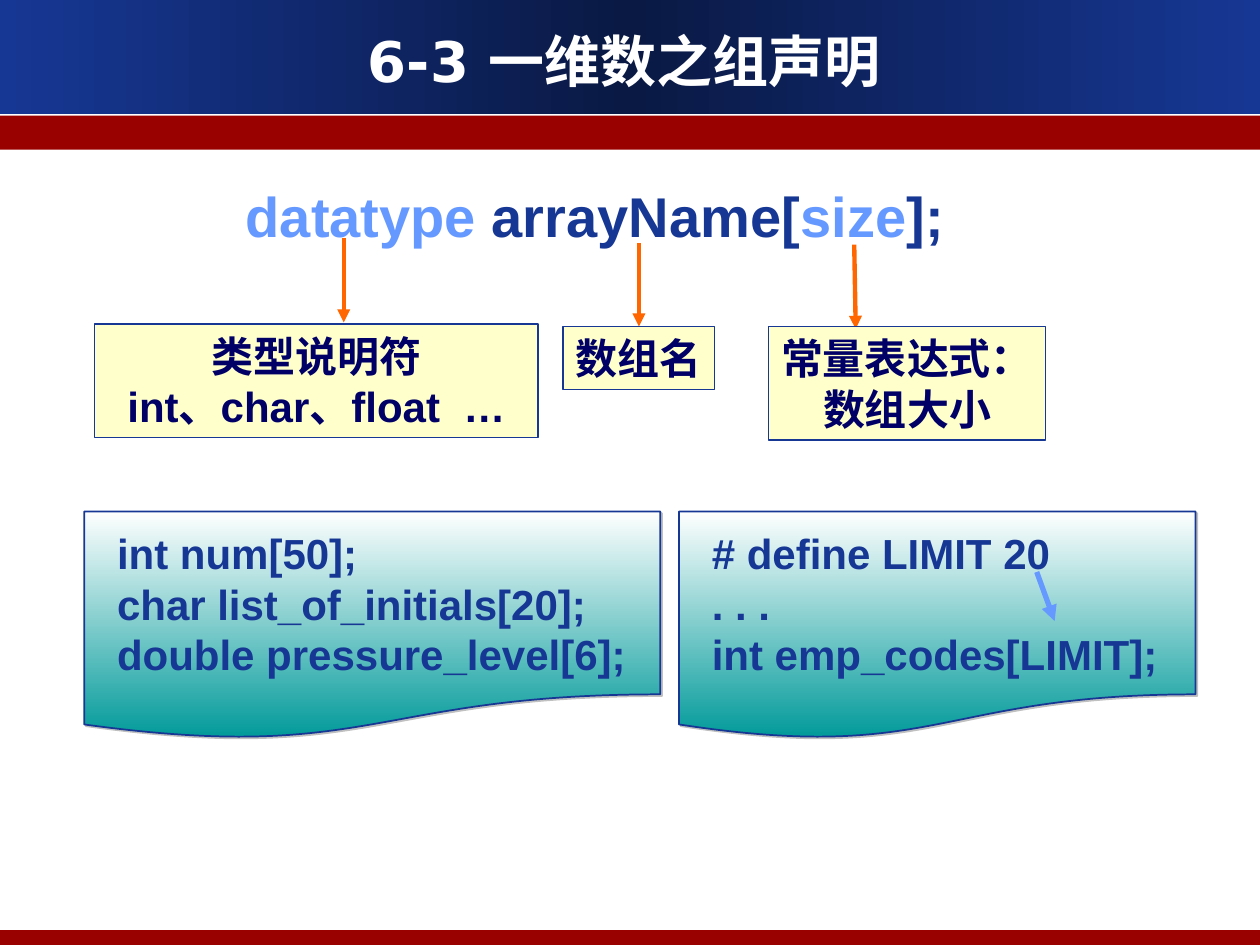
from lxml.etree import SubElement
from pptx import Presentation
from pptx.dml.color import RGBColor
from pptx.enum.shapes import MSO_CONNECTOR, MSO_SHAPE
from pptx.enum.text import MSO_ANCHOR, MSO_AUTO_SIZE, PP_ALIGN
from pptx.oxml import parse_xml
from pptx.oxml.ns import nsdecls, qn
from pptx.util import Cm, Pt

BLUE, NIGHT, SKY = "163794", "0A1944", "6699FF"
RED, ORANGE, TEAL = "990000", "FF6600", "009999"
CREAM, NAVY, WHITE, SILVER = "FFFFCC", "000066", "FFFFFF", "C0C0C0"


def rgb(color):
    return RGBColor.from_string(color)


def set_text(tf, lines, size=24, color=BLUE, font="Arial", align=PP_ALIGN.LEFT,
             anchor=MSO_ANCHOR.TOP, inset=(0.25, 0.13), wrap=False):
    """Fill tf; a line is a string or a list of (text, color) runs."""
    tf.auto_size = MSO_AUTO_SIZE.NONE
    tf.word_wrap = wrap
    tf.vertical_anchor = anchor
    tf.margin_left = tf.margin_right = Cm(inset[0])
    tf.margin_top = tf.margin_bottom = Cm(inset[1])
    for i, line in enumerate(lines):
        p = tf.add_paragraph() if i else tf.paragraphs[0]
        p.alignment = align
        for text, run_color in [(line, color)] if isinstance(line, str) else line:
            r = p.add_run()
            r.text = text
            r.font.name = font
            r.font.size = Pt(size)
            r.font.bold = True
            r.font.color.rgb = rgb(run_color)


def set_gradient(sp, stops, angle):
    """Give sp a linear gradient of (percent, color) stops."""
    sp.fill.gradient()
    sp.fill.gradient_angle = angle
    gs_list = sp.fill._fill._gradFill.find(qn("a:gsLst"))
    for gs in list(gs_list):
        gs_list.remove(gs)
    for percent, color in stops:
        gs = SubElement(gs_list, qn("a:gs"), pos=str(percent * 1000))
        SubElement(gs, qn("a:srgbClr"), val=color)


def add_box(s, box, fill=None, line=None, width=0.75, kind=MSO_SHAPE.RECTANGLE):
    sp = s.shapes.add_shape(kind, *map(Cm, box))
    sp.shadow.inherit = False
    if fill:
        sp.fill.solid()
        sp.fill.fore_color.rgb = rgb(fill)
    if line:
        sp.line.color.rgb = rgb(line)
        sp.line.width = Pt(width)
    else:
        sp.line.fill.background()
    return sp


def add_text(s, box, lines, **fmt):
    tf = s.shapes.add_textbox(*map(Cm, box)).text_frame
    set_text(tf, lines, **fmt)


def add_arrow(s, start, end, color=ORANGE, width=2.5):
    cx = s.shapes.add_connector(MSO_CONNECTOR.STRAIGHT, *map(Cm, start + end))
    cx.line.color.rgb = rgb(color)
    cx.line.width = Pt(width)
    SubElement(cx.line._get_or_add_ln(), qn("a:tailEnd"), type="triangle")
    SubElement(cx._element.spPr, qn("a:effectLst"))


def add_code_page(s, left, width, lines):
    top = 10.31
    sp = add_box(s, (left, top, width, 4.6), line=BLUE, width=1,
                 kind=MSO_SHAPE.FLOWCHART_DOCUMENT)
    set_gradient(sp, [(0, WHITE), (100, TEAL)], 270)
    effects = sp._element.spPr.find(qn("a:effectLst"))
    effects.append(parse_xml(
        f'<a:outerShdw {nsdecls("a")} dist="17780" dir="2700000" algn="ctr" '
        f'rotWithShape="0"><a:srgbClr val="{SILVER}"/></a:outerShdw>'))
    add_text(s, (left + 0.41, top + 0.2, width - 0.9, 3.3), lines)


def add_header(s):
    bar = add_box(s, (0, 0, 25.4, 2.31))
    set_gradient(bar, [(0, BLUE), (50, NIGHT), (100, BLUE)], 0)
    add_box(s, (0, 2.33, 25.4, 0.69), RED)
    add_box(s, (0, 18.75, 25.4, 0.3), RED)
    title = s.shapes.title
    title.left, title.top, title.width, title.height = map(Cm, (0.84, 0.41, 23.5, 1.6))
    set_text(title.text_frame, ["6-3 一维数之组声明"], size=32, color=WHITE,
             font="DejaVu Sans", align=PP_ALIGN.CENTER, anchor=MSO_ANCHOR.MIDDLE,
             inset=(0, 0), wrap=True)
    s.shapes._spTree.append(title._element)  # in front of the bars


def main():
    prs = Presentation()
    prs.slide_width, prs.slide_height = Cm(25.4), Cm(19.05)
    s = prs.slides.add_slide(prs.slide_layouts[5])
    add_header(s)

    syntax = [("datatype", SKY), (" arrayName[", BLUE), ("size", SKY), ("];", BLUE)]
    add_text(s, (4.7, 3.53, 14.58, 1.63), [syntax], size=32, align=PP_ALIGN.CENTER)

    labels = [
        ((6.93, 4.8), (6.93, 6.5), (1.91, 6.53, 8.94, 2.29),
         ["类型说明符", "int、char、float  …"]),
        ((12.88, 4.9), (12.88, 6.58), (11.35, 6.58, 3.05, 1.27), ["数组名"]),
        ((17.22, 4.93), (17.25, 6.63), (15.49, 6.58, 5.59, 2.29),
         ["常量表达式：", "数组大小"]),
    ]
    for start, end, box, lines in labels:
        add_arrow(s, start, end)
        sp = add_box(s, box, CREAM, BLUE)
        set_text(sp.text_frame, lines, color=NAVY, align=PP_ALIGN.CENTER)

    add_code_page(s, 1.7, 11.61, ["int num[50];", "char list_of_initials[20];",
                                  "double pressure_level[6];"])
    add_code_page(s, 13.69, 10.41, ["# define LIMIT 20", ". . .",
                                    "int emp_codes[LIMIT];"])
    add_arrow(s, (20.9, 11.53), (21.26, 12.52), SKY, 3)
    prs.save("out.pptx")


if __name__ == "__main__":
    main()
